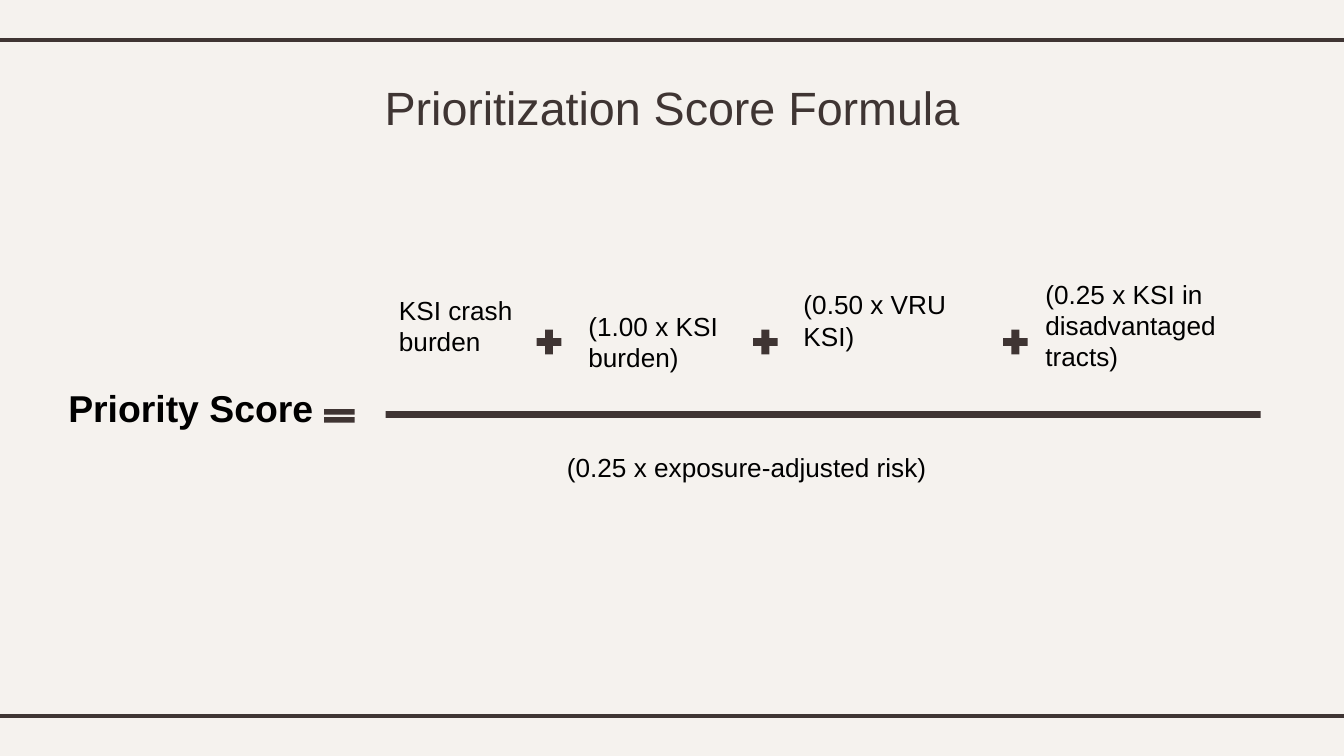
from dataclasses import dataclass

from lxml.etree import SubElement
from pptx import Presentation
from pptx.dml.color import RGBColor
from pptx.enum.shapes import MSO_CONNECTOR, MSO_SHAPE
from pptx.enum.text import PP_ALIGN
from pptx.oxml.ns import qn
from pptx.util import Emu, Pt


@dataclass(frozen=True)
class Theme:
    background: RGBColor = RGBColor.from_string("F5F2EE")
    dark: RGBColor = RGBColor.from_string("3F3533")
    ink: RGBColor = RGBColor.from_string("000000")
    font: str = "Arial"
    title: int = 25
    result: int = 20
    term: int = 14
    rule: float = 2.25


THEME = Theme()
PX = 9144  # 100 px to the inch
WIDTH = 1000
HEIGHT = WIDTH * 9 / 16

# Content: text with left, top, width, height
TITLE = ("Prioritization Score Formula", (78, 49, 844, 63))
RESULT = ("Priority Score", (41, 282, 217, 44))
TERMS = [
    ("KSI crash burden", (287, 214, 125, 81)),
    ("(1.00 x KSI burden)", (428, 226, 133, 57)),
    ("(0.50 x VRU KSI)", (588, 210, 162, 81)),
    ("(0.25 x KSI in disadvantaged tracts)", (768, 202, 171, 104)),
    ("(0.25 x exposure-adjusted risk)", (412, 331, 376, 34)),
]
RULE_TOPS = (30, 533)
RULE_BLEED = 8
FRACTION_BAR = (287, 306, 651, 5)
EQUALS = (237, 301, 31, 17)
PLUS_LEFTS = (396, 557, 743)
PLUS_TOP, PLUS_SIZE = 242, 25


def emu(*lengths):
    return [Emu(int(length * PX)) for length in lengths]


def add_text(slide, content, size, color=THEME.ink, bold=False, align=PP_ALIGN.LEFT):
    words, place = content
    frame = slide.shapes.add_textbox(*emu(*place)).text_frame
    frame.word_wrap = True
    paragraph = frame.paragraphs[0]
    paragraph.alignment = align
    run = paragraph.add_run()
    run.text = words
    for name, value in {"name": THEME.font, "size": Pt(size), "bold": bold}.items():
        setattr(run.font, name, value)
    run.font.color.rgb = color
    return frame


def add_mark(slide, preset, place):
    mark = slide.shapes.add_shape(preset, *emu(*place))
    mark.shadow.inherit = False
    mark.fill.solid()
    mark.fill.fore_color.rgb = THEME.dark
    mark.line.fill.background()


def add_rule(slide, top):
    ends = emu(-RULE_BLEED, top, WIDTH + RULE_BLEED, top)
    rule = slide.shapes.add_connector(MSO_CONNECTOR.STRAIGHT, *ends)
    rule.line.color.rgb = THEME.dark
    rule.line.width = Pt(THEME.rule)
    SubElement(rule._element.spPr, qn("a:effectLst"))


def main():
    deck = Presentation()
    deck.slide_width, deck.slide_height = emu(WIDTH, HEIGHT)
    slide = deck.slides.add_slide(deck.slide_layouts[6])
    slide.background.fill.solid()
    slide.background.fill.fore_color.rgb = THEME.background

    # Page rules and title
    for top in RULE_TOPS:
        add_rule(slide, top)
    heading = add_text(slide, TITLE, THEME.title, THEME.dark, align=PP_ALIGN.CENTER)
    heading.margin_top, heading.margin_bottom = emu(10, 10)

    # Formula
    add_text(slide, RESULT, THEME.result, bold=True)
    add_mark(slide, MSO_SHAPE.RECTANGLE, FRACTION_BAR)
    for term in TERMS:
        add_text(slide, term, THEME.term)
    for left in PLUS_LEFTS:
        add_mark(slide, MSO_SHAPE.MATH_PLUS, (left, PLUS_TOP, PLUS_SIZE, PLUS_SIZE))
    add_mark(slide, MSO_SHAPE.MATH_EQUAL, EQUALS)

    deck.save("out.pptx")


if __name__ == "__main__":
    main()
